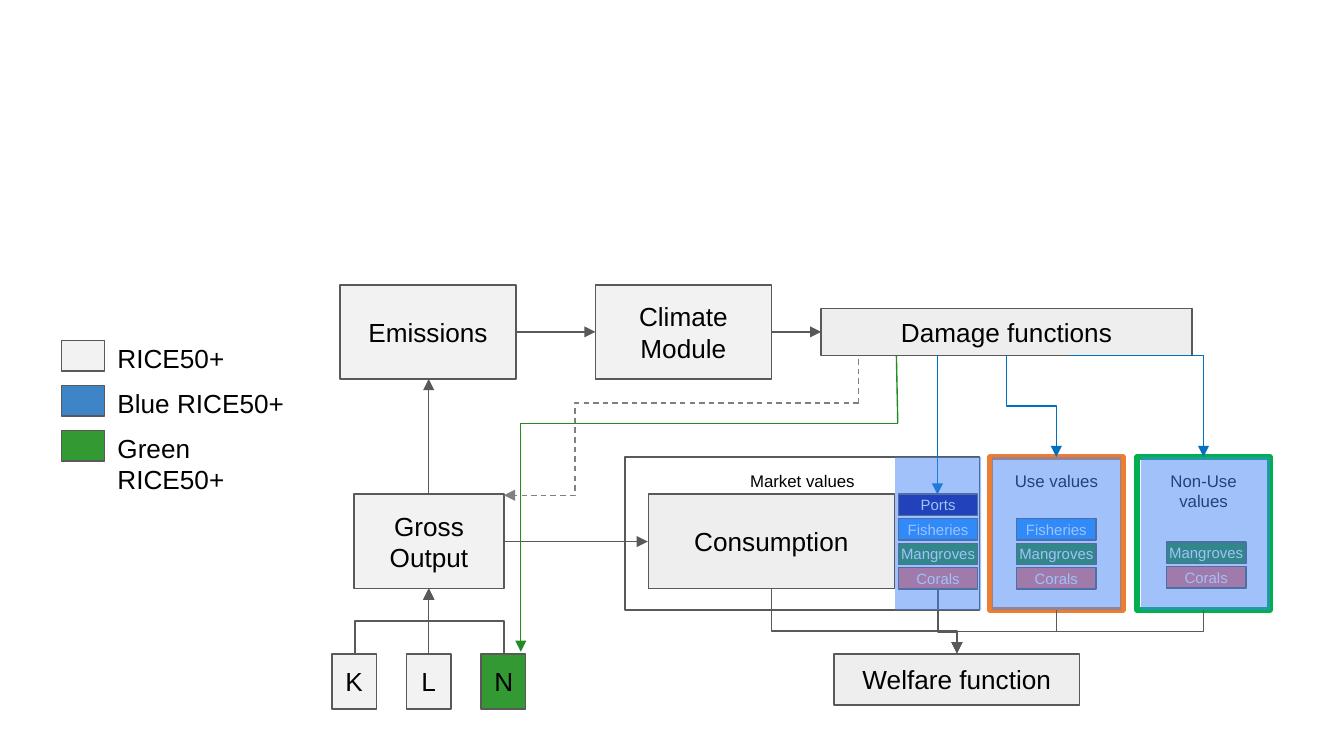
from dataclasses import dataclass

from lxml.etree import SubElement
from pptx import Presentation
from pptx.dml.color import RGBColor
from pptx.enum.dml import MSO_LINE
from pptx.enum.shapes import MSO_CONNECTOR, MSO_SHAPE
from pptx.enum.text import MSO_ANCHOR, PP_ALIGN
from pptx.oxml.ns import qn
from pptx.util import Inches, Pt


@dataclass(frozen=True)
class Theme:
    font: str = "Arial"
    node_size: float = 14
    group_size: float = 9
    tag_size: float = 8
    thin: float = 0.75
    thick: float = 3
    text: str = "000000"
    tag_text: str = "FFFFFF"
    outline: str = "595959"
    base: str = "F2F2F2"
    function: str = "EEEEEE"
    blue_model: str = "3D85C6"
    green_model: str = "339933"
    use: str = "ED7D31"
    non_use: str = "00B050"
    overlay: str = "4285F4"
    blue_flow: str = "0070C0"
    green_flow: str = "228B22"
    feedback: str = "808080"


THEME = Theme()
TAG_FILLS = {"Ports": "000080", "Fisheries": "1E90FF",
             "Mangroves": "228B22", "Corals": "FF6F61"}
COLUMNS, ROWS = 100, 56.25
GROUP_TOP, GROUP_HEIGHT = 34, 11.4
TAG_PITCH = 1.83
DAMAGE_BASE = 26.45
WELFARE_ENTRY = (71.2, 48.6)
OUTPUT_BASE = (31.9, 43.8)


def grid(*steps):
    """Turn columns or rows, a tenth of an inch each, into lengths."""
    return [Inches(step / 10) for step in steps]


def write(shape, text, size, color=THEME.text, align=PP_ALIGN.CENTER,
          anchor=MSO_ANCHOR.MIDDLE, inset=1):
    frame = shape.text_frame
    frame.word_wrap = True
    frame.vertical_anchor = anchor
    frame.margin_left = frame.margin_right = grid(inset)[0]
    frame.margin_top = frame.margin_bottom = grid(inset)[0]
    frame.text = text
    paragraph = frame.paragraphs[0]
    paragraph.alignment = align
    font = paragraph.runs[0].font
    font.name, font.size = THEME.font, Pt(size)
    font.color.rgb = RGBColor.from_string(color)


def add_box(slide, area, fill=None, line=THEME.outline, width=THEME.thin):
    shape = slide.shapes.add_shape(MSO_SHAPE.RECTANGLE, *grid(*area))
    shape.shadow.inherit = False
    if fill:
        shape.fill.solid()
        shape.fill.fore_color.rgb = RGBColor.from_string(fill)
    else:
        shape.fill.background()
    if line:
        shape.line.color.rgb = RGBColor.from_string(line)
        shape.line.width = Pt(width)
    else:
        shape.line.fill.background()
    return shape


def add_node(slide, area, text, fill=THEME.base):
    write(add_box(slide, area, fill), text, THEME.node_size)


def add_group(slide, left, width, text, line=THEME.outline, weight=THEME.thin):
    area = (left, GROUP_TOP, width, GROUP_HEIGHT)
    shape = add_box(slide, area, line=line, width=weight)
    write(shape, text, THEME.group_size, anchor=MSO_ANCHOR.TOP)


def add_tags(slide, left, last_top, names):
    """Stack tags upwards so that the last one starts at last_top."""
    for level, name in enumerate(reversed(names)):
        area = (left, last_top - level * TAG_PITCH, 5.9, 1.6)
        shape = add_box(slide, area, TAG_FILLS[name])
        write(shape, name, THEME.tag_size, THEME.tag_text, inset=0)


def add_overlay(slide, left, width):
    area = (left, GROUP_TOP, width, GROUP_HEIGHT)
    shape = add_box(slide, area, THEME.overlay, line=None)
    color = shape._element.spPr.find(qn("a:solidFill"))[0]
    SubElement(color, qn("a:alpha"), val="50000")


def add_legend(slide):
    entries = [("RICE50+", THEME.base), ("Blue RICE50+", THEME.blue_model),
               ("Green RICE50+", THEME.green_model)]
    for index, (name, fill) in enumerate(entries):
        top = 25.35 + index * 3.35
        add_box(slide, (4.6, top, 3.2, 2.25), fill)
        label = slide.shapes.add_textbox(*grid(7.75, top - 0.9, 15.5, 4.1))
        write(label, name, THEME.node_size, align=PP_ALIGN.LEFT,
              anchor=MSO_ANCHOR.TOP)


def add_line(slide, start, end, color=THEME.outline, arrow=True, dashed=False,
             kind=MSO_CONNECTOR.STRAIGHT):
    connector = slide.shapes.add_connector(kind, *grid(*start, *end))
    connector.line.color.rgb = RGBColor.from_string(color)
    connector.line.width = Pt(THEME.thin)
    if dashed:
        connector.line.dash_style = MSO_LINE.DASH
    if arrow:
        SubElement(connector.line._get_or_add_ln(), qn("a:tailEnd"), type="triangle")
    SubElement(connector._element.spPr, qn("a:effectLst"))
    return connector


def set_bend(connector, share):
    guides = connector._element.spPr.find(qn("a:prstGeom")).get_or_add_avLst()
    SubElement(guides, qn("a:gd"), name="adj1", fmla=f"val {round(share * 100000)}")


def add_vertical_elbow(slide, start, end, share=0.5, color=THEME.outline):
    """Leave start vertically, cross over at share of the height, reach end."""
    connector = add_line(slide, start, end, color, kind=MSO_CONNECTOR.ELBOW)
    across, down = end[0] - start[0], end[1] - start[1]
    length, breadth = abs(down), abs(across)
    connector.left, connector.top, connector.width, connector.height = grid(
        (start[0] + end[0] - length) / 2, (start[1] + end[1] - breadth) / 2,
        length, breadth)
    rightward, upward = across >= 0, down < 0
    frame = connector._element.spPr.find(qn("a:xfrm"))
    frame.set("rot", str(60000 * (90 if rightward == upward else 270)))
    frame.set("flipH", str(int(rightward)))
    frame.set("flipV", str(int(upward)))
    set_bend(connector, share)


def add_corner(slide, start, end, color):
    """Leave start horizontally and turn once towards end."""
    connector = add_line(slide, start, end, color, kind=MSO_CONNECTOR.ELBOW)
    connector._element.spPr.find(qn("a:prstGeom")).set("prst", "bentConnector2")


def add_model_nodes(slide):
    add_node(slide, (25.3, 21.2, 13.1, 7), "Emissions")
    add_node(slide, (44.3, 21.2, 13.1, 7), "Climate Module")
    add_node(slide, (61.1, 22.95, 27.6, 3.5), "Damage functions", THEME.function)
    add_node(slide, (48.25, 36.75, 18.3, 7.05), "Consumption", THEME.function)
    add_node(slide, (26.35, 36.75, 11.15, 7.05), "Gross Output")
    add_node(slide, (62.05, 48.65, 18.3, 3.8), "Welfare function", THEME.function)
    factors = [("K", THEME.base), ("L", THEME.base), ("N", THEME.green_model)]
    for index, (name, fill) in enumerate(factors):
        add_node(slide, (24.7 + index * 5.55, 48.65, 3.3, 4.1), name, fill)


def add_value_groups(slide):
    add_group(slide, 46.5, 26.4, "Market values")
    add_group(slide, 73.65, 9.9, "Use values", THEME.use, THEME.thick)
    add_group(slide, 84.6, 9.9, "Non-Use values", THEME.non_use, THEME.thick)
    names = list(TAG_FILLS)
    add_tags(slide, 66.85, 42.25, names)
    add_tags(slide, 75.65, 42.25, names[1:])
    add_tags(slide, 86.8, 42.15, names[2:])


def add_model_flows(slide):
    for start, end in [((38.4, 24.7), (44.3, 24.7)), ((57.4, 24.7), (61.1, 24.7)),
                       ((31.9, 36.8), (31.9, 28.2)), ((37.5, 40.3), (48.2, 40.3)),
                       ((31.9, 48.6), OUTPUT_BASE)]:
        add_line(slide, start, end)
    for factor in (26.4, 37.5):
        add_vertical_elbow(slide, (factor, 48.6), OUTPUT_BASE)
    for source, share in [((57.4, 43.8), 0.66), ((69.8, 43.8), 0.67),
                          ((78.6, 45.4), 0.5), ((89.55, 45.4), 0.5)]:
        add_vertical_elbow(slide, source, WELFARE_ENTRY, share)


def add_damage_flows(slide):
    add_line(slide, (69.75, DAMAGE_BASE), (69.75, 36.8), THEME.blue_flow)
    add_vertical_elbow(slide, (74.9, DAMAGE_BASE), (78.6, 34), color=THEME.blue_flow)
    add_corner(slide, (79.6, DAMAGE_BASE), (89.55, 34), THEME.blue_flow)


def add_feedback_flows(slide):
    add_line(slide, (63.9, 30), (63.9, 26.5), THEME.feedback, arrow=False, dashed=True)
    feedback = add_line(slide, (63.9, 30), (37.5, 36.85), THEME.feedback,
                        dashed=True, kind=MSO_CONNECTOR.ELBOW)
    set_bend(feedback, 0.8)
    add_line(slide, (66.8, 31.5), (66.7, DAMAGE_BASE), THEME.green_flow, arrow=False)
    add_corner(slide, (66.8, 31.5), (38.75, 48.5), THEME.green_flow)


def main():
    presentation = Presentation()
    presentation.slide_width, presentation.slide_height = grid(COLUMNS, ROWS)
    slide = presentation.slides.add_slide(presentation.slide_layouts[6])
    add_legend(slide)
    add_model_nodes(slide)
    add_value_groups(slide)
    add_model_flows(slide)
    add_damage_flows(slide)
    for left, width in [(66.6, 6.4), (73.8, 9.6), (84.9, 9.6)]:
        add_overlay(slide, left, width)
    add_feedback_flows(slide)
    presentation.save("out.pptx")


if __name__ == "__main__":
    main()
